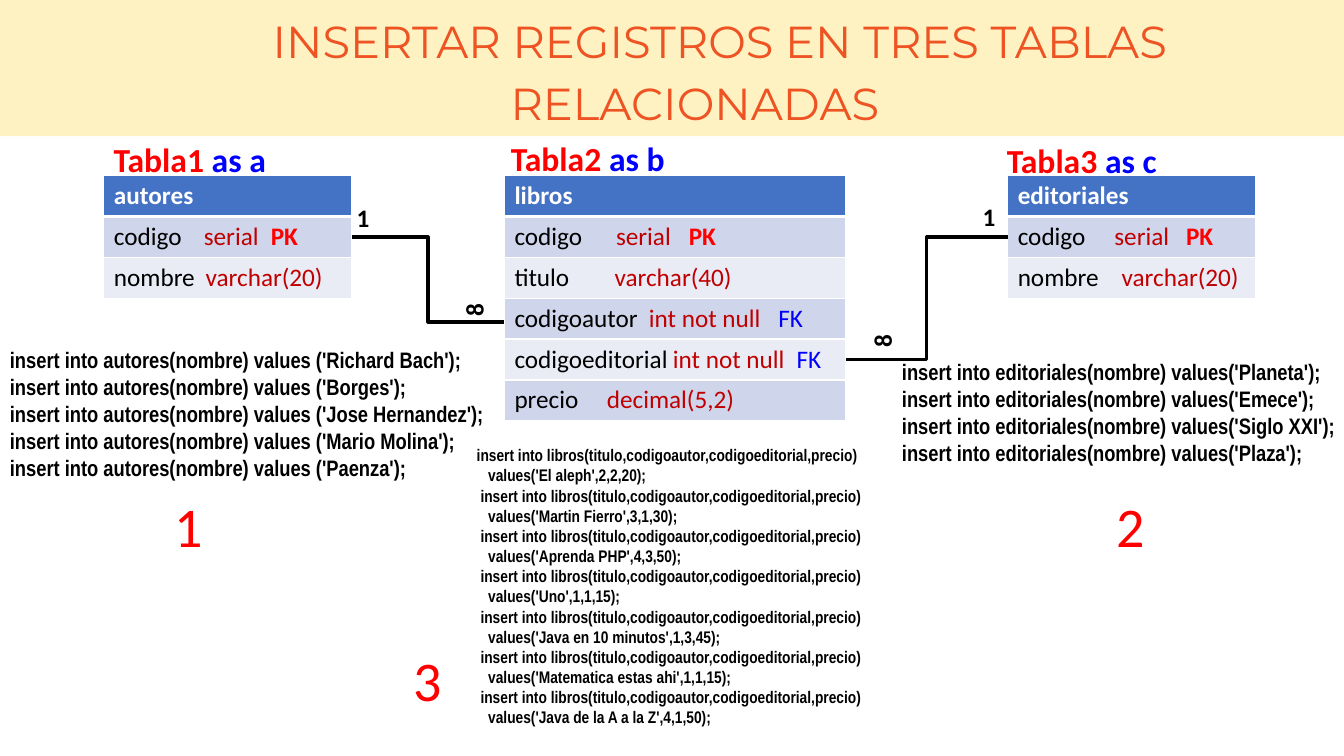
from lxml.etree import SubElement
from pptx import Presentation
from pptx.dml.color import RGBColor
from pptx.enum.shapes import MSO_CONNECTOR as Connector, MSO_SHAPE as Shape
from pptx.enum.text import MSO_AUTO_SIZE as AutoSize, PP_ALIGN as Align
from pptx.oxml.ns import qn
from pptx.util import Pt

BLACK = RGBColor(0x00, 0x00, 0x00)
WHITE = RGBColor(0xFF, 0xFF, 0xFF)
RED = RGBColor(0xFF, 0x00, 0x00)
DARK_RED = RGBColor(0xC0, 0x00, 0x00)
BLUE = RGBColor(0x00, 0x00, 0xFF)
ORANGE = RGBColor(0xEE, 0x53, 0x23)
YELLOW = RGBColor(0xFF, 0xCC, 0x00)
HEADER_BLUE = RGBColor(0x44, 0x72, 0xC4)
BANDS = [RGBColor(0xE9, 0xEB, 0xF5), RGBColor(0xCF, 0xD5, 0xEA)]

deck = Presentation()
deck.slide_width, deck.slide_height = Pt(960), Pt(540)
page = deck.slides.add_slide(deck.slide_layouts[6])


def add_span(para, text, size=18, font="Calibri", color=BLACK, bold=False):
    span = para.add_run()
    span.text = text
    span.font.size = Pt(size)
    span.font.name = font
    span.font.color.rgb = color
    span.font.bold = bold


def add_box(left, top, width, height, wrap=True):
    box = page.shapes.add_textbox(Pt(left), Pt(top), Pt(width), Pt(height))
    box.text_frame.word_wrap = wrap
    box.text_frame.auto_size = AutoSize.SHAPE_TO_FIT_TEXT
    return box


# Title band
band = page.shapes.add_shape(Shape.RECTANGLE, 0, 0, Pt(960), Pt(97.2))
band.shadow.inherit = False
band.line.fill.background()
band.fill.solid()
band.fill.fore_color.rgb = YELLOW
tint = band.fill._xPr.find(qn("a:solidFill"))[0]
SubElement(tint, qn("a:alpha"), val="24000")

for left, top, text in [(82.8, 8.6, "INSERTAR REGISTROS EN TRES TABLAS"),
                        (64.8, 52.6, "RELACIONADAS")]:
    para = add_box(left, top, 863.3, 44).text_frame.paragraphs[0]
    para.alignment = Align.CENTER
    para.line_spacing = Pt(36)
    add_span(para, text, size=32, font="Montserrat", color=ORANGE)

# Tables: each field has a name, a type and a key, with the tab stops between
ROW_HEIGHT = 29.2
TABLE_TOP = 125.4
tables = [
    (360.3, 244, "libros", [
        ("codigo", "serial", "PK", (72.5, 124.5)),
        ("titulo", "varchar(40)", "", (71.5,)),
        ("codigoautor", "int not null", "FK", (96, 188.5)),
        ("codigoeditorial", "int not null", "FK", (113.2, 201.5)),
        ("precio", "decimal(5,2)", "", (66,))]),
    (74.2, 177, "autores", [
        ("codigo", "serial", "PK", (64.2, 112)),
        ("nombre", "varchar(20)", "", (65.5,))]),
    (719.8, 177, "editoriales", [
        ("codigo", "serial", "PK", (69, 120.2)),
        ("nombre", "varchar(20)", "", (74.2,))]),
]
for left, width, title, fields in tables:
    count = len(fields) + 1
    table = page.shapes.add_table(count, 1, Pt(left), Pt(TABLE_TOP),
                                  Pt(width), Pt(ROW_HEIGHT * count)).table
    table.horz_banding = False
    for index in range(count):
        table.rows[index].height = Pt(ROW_HEIGHT)
        cell = table.cell(index, 0)
        # White borders, thicker under the header
        cell_format = cell._tc.get_or_add_tcPr()
        for side in "LRTB":
            thick = (index, side) in [(0, "B"), (1, "T")]
            line = SubElement(cell_format, qn(f"a:ln{side}"), w=str(Pt(3 if thick else 1)))
            fill = SubElement(line, qn("a:solidFill"))
            SubElement(fill, qn("a:srgbClr"), val=str(WHITE))
        cell.fill.solid()
        cell.fill.fore_color.rgb = BANDS[index % 2] if index else HEADER_BLUE
        para = cell.text_frame.paragraphs[0]
        if index == 0:
            add_span(para, title, color=WHITE, bold=True)
            continue
        name, kind, key, stops = fields[index - 1]
        tabs = SubElement(para._p.get_or_add_pPr(), qn("a:tabLst"))
        for stop in stops:
            SubElement(tabs, qn("a:tab"), pos=str(Pt(stop)), algn="l")
        add_span(para, name)
        add_span(para, "\t" + kind, color=DARK_RED)
        if key:
            add_span(para, "\t" + key, color=RED if key == "PK" else BLUE, bold=key == "PK")

# Relations
for start_x, start_y, end_x, end_y in [(251.2, 169.3, 360.3, 230),
                                       (719.8, 169.3, 604.5, 257)]:
    relation = page.shapes.add_connector(Connector.ELBOW, Pt(start_x), Pt(start_y),
                                         Pt(end_x), Pt(end_y))
    relation.line.color.rgb = BLACK
    relation.line.width = Pt(2.25)
    SubElement(relation._element.spPr, qn("a:effectLst"))

# Cardinalities: an 8 on its side stands for "many"
for left, top, text, turn in [(694.8, 140.4, "1", 0), (618.5, 229, "8", 270),
                              (247.7, 141.1, "1", 0), (326.9, 207.4, "8", 270)]:
    box = add_box(left, top, 23, 29, wrap=turn > 0)
    box.rotation = turn
    add_span(box.text_frame.paragraphs[0], text, bold=True)

# Table aliases
for left, top, name, alias in [(74, 95.8, "Tabla1 ", "as a"),
                               (357.8, 95, "Tabla2 ", "as b"),
                               (712.1, 96.5, "Tabla3 ", "as c")]:
    para = add_box(left, top, 140, 36).text_frame.paragraphs[0]
    add_span(para, name, size=24, color=RED, bold=True)
    add_span(para, alias, size=24, color=BLUE, bold=True)

# Insert statements
author_code = [f"insert into autores(nombre) values ('{name}');" for name in
               ["Richard Bach", "Borges", "Jose Hernandez", "Mario Molina", "Paenza"]]
publisher_code = [f"insert into editoriales(nombre) values('{name}');" for name in
                  ["Planeta", "Emece", "Siglo XXI", "Plaza"]]
book_code = []
for values in ["'El aleph',2,2,20", "'Martin Fierro',3,1,30", "'Aprenda PHP',4,3,50",
               "'Uno',1,1,15", "'Java en 10 minutos',1,3,45",
               "'Matematica estas ahi',1,1,15", "'Java de la A a la Z',4,1,50"]:
    indent = " " if book_code else ""
    book_code.append(f"{indent}insert into libros(titulo,codigoautor,codigoeditorial,precio)")
    book_code.append(f"   values({values});")

for left, top, width, height, size, lines in [
        (0, 243.8, 360, 104.4, 16, author_code),
        (637.2, 252.4, 322.8, 85, 16, publisher_code),
        (333.4, 314.3, 296.6, 211, 12, book_code)]:
    frame = add_box(left, top, width, height).text_frame
    frame.margin_right = 0
    for index, text in enumerate(lines):
        para = frame.add_paragraph() if index else frame.paragraphs[0]
        add_span(para, text, size=size, font="Arial Narrow", bold=True)

# Order of the steps
for left, top, step in [(117.8, 347.8, "1"), (790.6, 347.8, "2"), (288.4, 457.9, "3")]:
    para = add_box(left, top, 35.3, 55.4, wrap=False).text_frame.paragraphs[0]
    add_span(para, step, size=40, color=RED)

deck.save("out.pptx")
